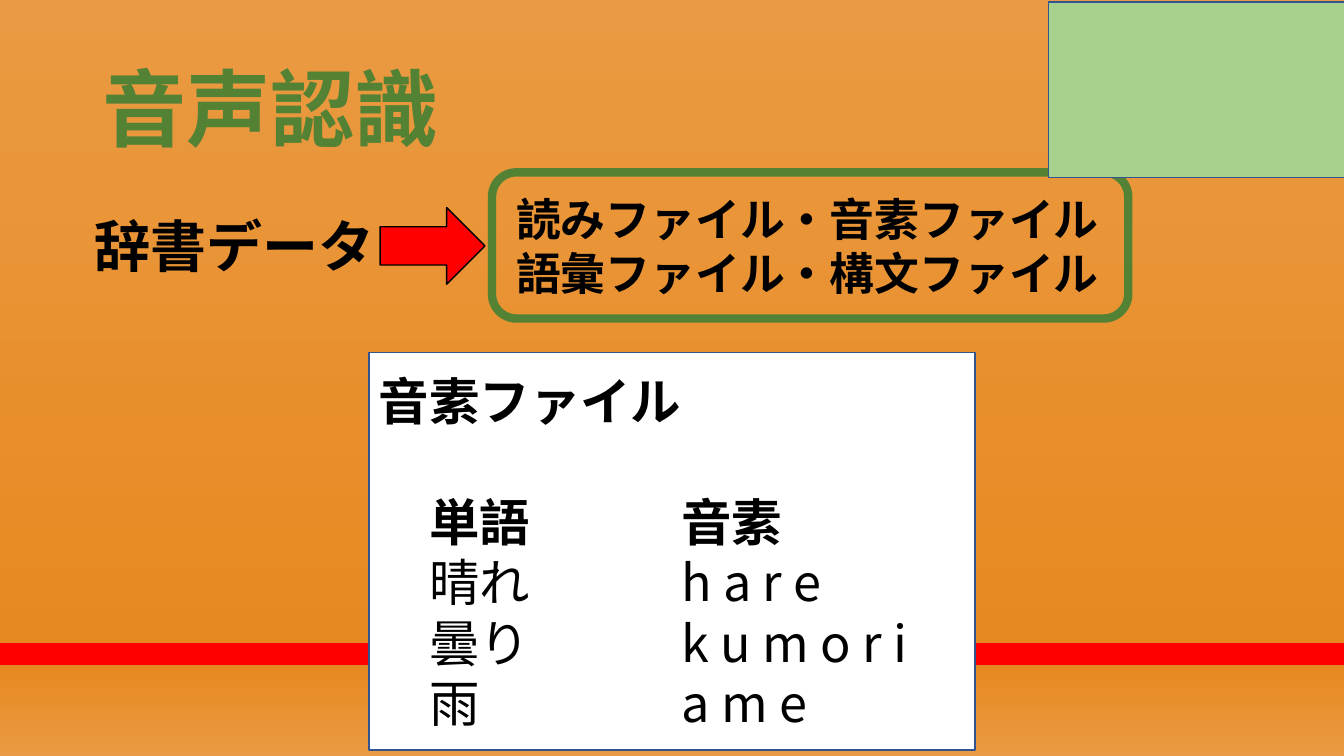
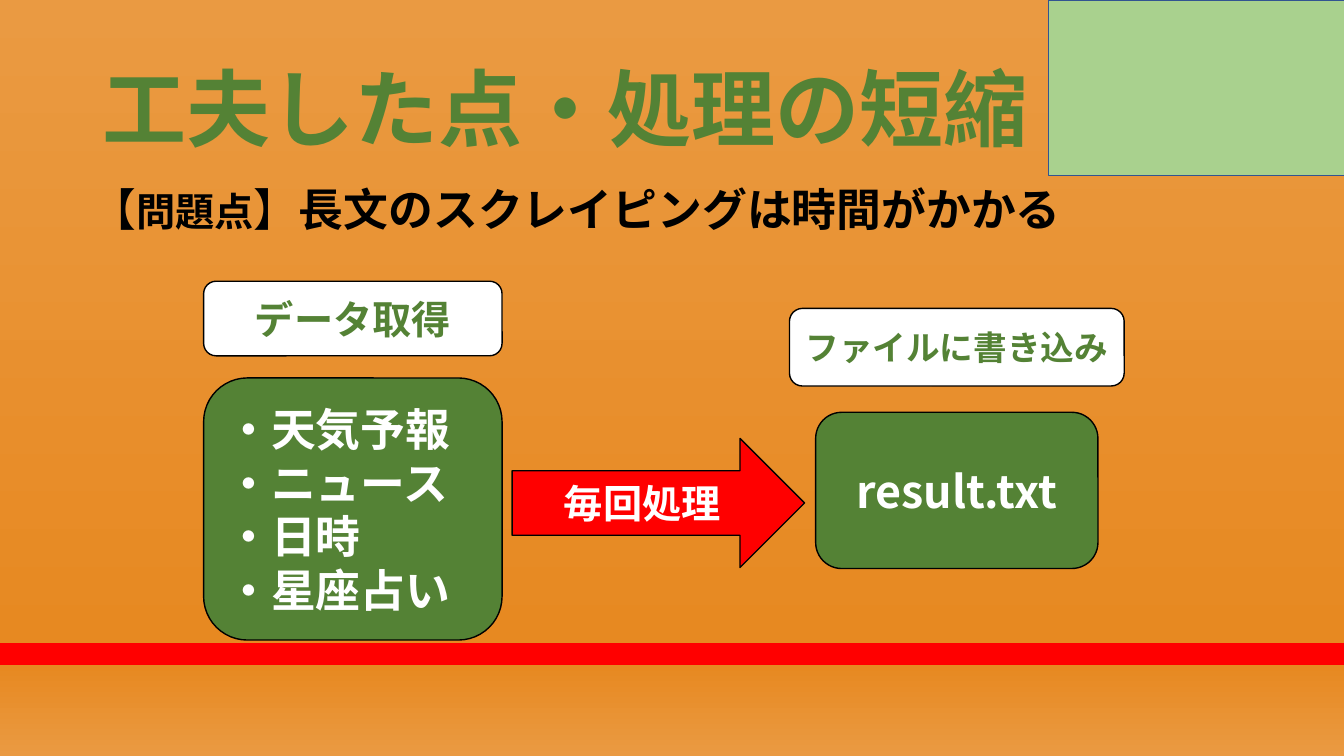
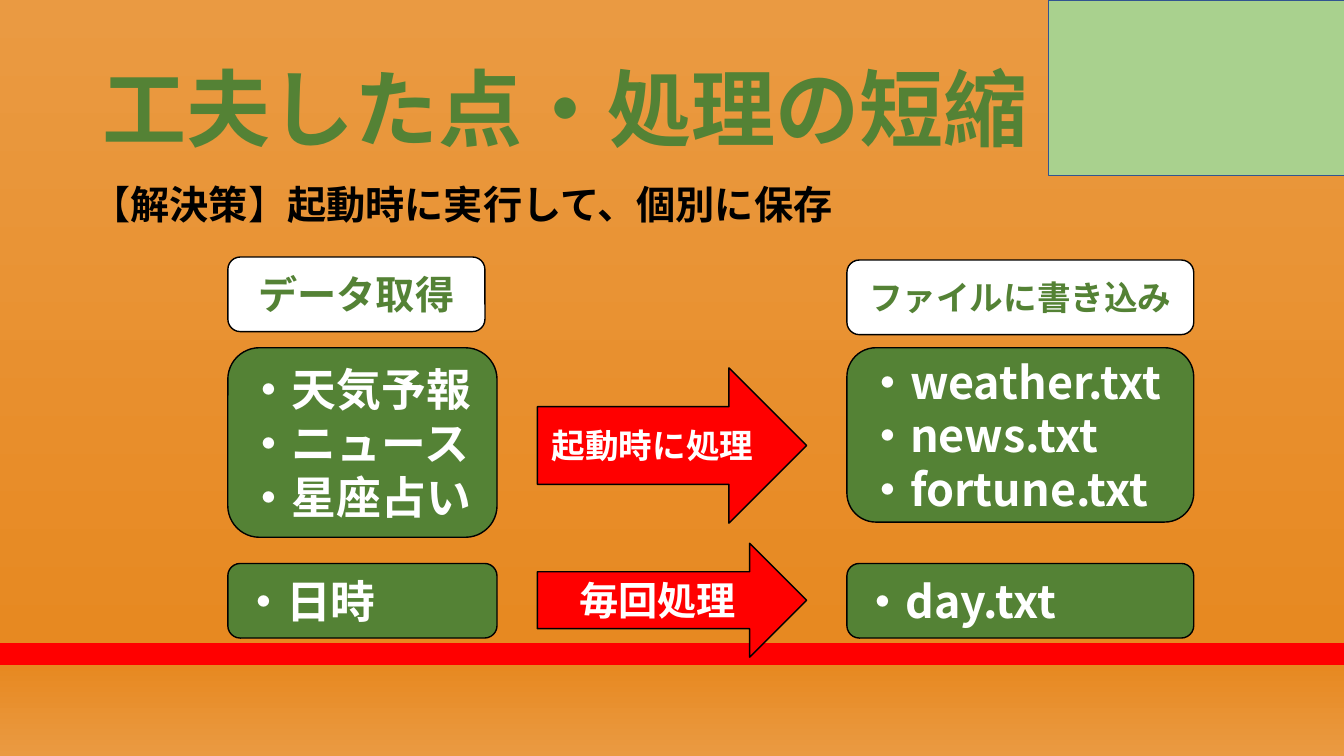
from dataclasses import dataclass

from lxml import etree
from pptx import Presentation
from pptx.dml.color import RGBColor
from pptx.enum.shapes import MSO_SHAPE
from pptx.enum.text import MSO_ANCHOR, MSO_AUTO_SIZE, PP_ALIGN
from pptx.oxml.ns import qn
from pptx.presentation import Presentation as Deck
from pptx.slide import Slide
from pptx.text.text import TextFrame, _Run as Span
from pptx.util import Inches, Pt

RECTANGLE = MSO_SHAPE.RECTANGLE
ROUNDED = MSO_SHAPE.ROUNDED_RECTANGLE
ARROW = MSO_SHAPE.RIGHT_ARROW
LEFT, CENTER = PP_ALIGN.LEFT, PP_ALIGN.CENTER
TOP, MIDDLE = MSO_ANCHOR.TOP, MSO_ANCHOR.MIDDLE
NO_AUTOFIT = MSO_AUTO_SIZE.NONE

FONT = "Noto Sans CJK JP"
BLACK = RGBColor(0x00, 0x00, 0x00)
WHITE = RGBColor(0xFF, 0xFF, 0xFF)
RED = RGBColor(0xFF, 0x00, 0x00)
GREEN = RGBColor(0x54, 0x82, 0x35)
PALE_GREEN = RGBColor(0xA9, 0xD1, 0x8E)
BLUE = RGBColor(0x32, 0x54, 0x91)
ORANGE = RGBColor(0xE7, 0x89, 0x21)
LIGHT_ORANGE = RGBColor(0xEA, 0x9A, 0x42)
BACKGROUND_STOPS = (
    (0, LIGHT_ORANGE), (85, ORANGE), (85, RED),
    (88, RED), (88, ORANGE), (100, LIGHT_ORANGE),
)
TITLE_ONLY = 5


@dataclass(frozen=True)
class Area:
    """A place on the slide, in inches."""
    left: float
    top: float
    width: float
    height: float

    def lengths(self) -> tuple[Inches, Inches, Inches, Inches]:
        """Return the place as slide lengths."""
        return (Inches(self.left), Inches(self.top),
                Inches(self.width), Inches(self.height))


@dataclass(frozen=True)
class Look:
    """The outline, colours and alignment of a kind of box."""
    shape: MSO_SHAPE
    fill: RGBColor | None
    line: RGBColor = BLACK
    text: RGBColor = BLACK
    align: PP_ALIGN = LEFT
    line_width: float = 1


@dataclass(frozen=True)
class Box:
    """A shape with optional lines of bold text."""
    look: Look
    area: Area
    text: str = ""
    size: int = 32


@dataclass(frozen=True)
class Part:
    """A stretch of a heading in one size and weight."""
    text: str
    size: int
    bold: bool = True


CORNER = Look(RECTANGLE, PALE_GREEN, BLUE)
PAPER = Look(RECTANGLE, WHITE, BLUE)
FRAME = Look(ROUNDED, None, GREEN, line_width=6)
LABEL = Look(ROUNDED, WHITE, text=GREEN, align=CENTER)
ITEMS = Look(ROUNDED, GREEN, text=WHITE)
RESULT = Look(ROUNDED, GREEN, text=WHITE, align=CENTER)
STEP = Look(ARROW, RED, text=WHITE, align=CENTER)


def paint_background(deck: Deck) -> None:
    """Give the master the orange gradient with its red band."""
    master = deck.slide_master
    master.background.fill.gradient()
    gradient = next(master.element.iter(qn("a:gradFill")))
    for child in list(gradient):
        gradient.remove(child)
    stops = etree.SubElement(gradient, qn("a:gsLst"))
    for percent, color in BACKGROUND_STOPS:
        stop = etree.SubElement(stops, qn("a:gs"), pos=str(percent * 1000))
        etree.SubElement(stop, qn("a:srgbClr"), val=str(color))
    etree.SubElement(gradient, qn("a:lin"), ang="5400000", scaled="0")


def format_span(span: Span, size: int, color: RGBColor, bold: bool = True) -> None:
    """Set the font of a run, for Latin and Japanese letters."""
    span.font.name = FONT
    span.font.size = Pt(size)
    span.font.bold = bold
    span.font.color.rgb = color
    etree.SubElement(span._r.get_or_add_rPr(), qn("a:ea"), typeface=FONT)


def write(frame: TextFrame, text: str, size: int, color: RGBColor,
          align: PP_ALIGN = LEFT, anchor: MSO_ANCHOR = MIDDLE) -> None:
    """Write bold lines of text into a frame."""
    frame.word_wrap = True
    frame.auto_size = NO_AUTOFIT
    frame.vertical_anchor = anchor
    frame.text = text
    for para in frame.paragraphs:
        para.alignment = align
        for span in para.runs:
            format_span(span, size, color)


def add_box(page: Slide, box: Box) -> TextFrame:
    """Draw a box and return its text frame."""
    look = box.look
    shape = page.shapes.add_shape(look.shape, *box.area.lengths())
    shape.shadow.inherit = False
    if look.fill is None:
        shape.fill.background()
    else:
        shape.fill.solid()
        shape.fill.fore_color.rgb = look.fill
    shape.line.color.rgb = look.line
    shape.line.width = Pt(look.line_width)
    if box.text:
        write(shape.text_frame, box.text, box.size, look.text, look.align)
    return shape.text_frame


def add_text(page: Slide, area: Area, text: str, size: int) -> None:
    """Add a bold black text box."""
    frame = page.shapes.add_textbox(*area.lengths()).text_frame
    write(frame, text, size, BLACK, anchor=TOP)


def add_heading(page: Slide, area: Area, parts: list[Part]) -> None:
    """Add a one-line heading made of differently styled parts."""
    frame = page.shapes.add_textbox(*area.lengths()).text_frame
    frame.word_wrap = True
    para = frame.paragraphs[0]
    for part in parts:
        span = para.add_run()
        span.text = part.text
        format_span(span, part.size, BLACK, part.bold)


def add_page(deck: Deck, title: str) -> Slide:
    """Add a slide with the shared title style."""
    page = deck.slides.add_slide(deck.slide_layouts[TITLE_ONLY])
    holder = page.shapes.title
    holder.left, holder.top, holder.width, holder.height = Area(
        0.92, 0.4, 11.5, 1.45).lengths()
    write(holder.text_frame, title, 60, GREEN)
    para = holder.text_frame.paragraphs[0]
    para.line_spacing = 0.9
    properties = para.runs[0]._r.get_or_add_rPr()
    outline = etree.Element(qn("a:ln"), w=str(Pt(0.75)))
    fill = etree.SubElement(outline, qn("a:solidFill"))
    etree.SubElement(fill, qn("a:srgbClr"), val=str(BLACK))
    properties.insert(0, outline)
    return page


def add_corner(page: Slide, top: float = 0) -> None:
    """Draw the pale panel in the top right corner."""
    add_box(page, Box(CORNER, Area(10.4, top, 2.94, 1.74)))


def add_phoneme_file(page: Slide) -> None:
    """Draw the sheet that lists words and their phonemes."""
    rows = (("単語", "音素"), ("晴れ", "h a r e"),
            ("曇り", "k u m o r i"), ("雨", "a m e"))
    text = "\n".join(["音素ファイル"] + [f"\u3000{word}\t{sound}" for word, sound in rows])
    frame = add_box(page, Box(PAPER, Area(3.66, 3.5, 6.01, 3.94), text, 36))
    frame.paragraphs[0].space_after = Pt(43)
    for index, para in enumerate(frame.paragraphs[1:]):
        para.runs[0].font.bold = index == 0
        for span in para.runs:
            span.font.bold = index == 0
        tabs = etree.SubElement(para._p.get_or_add_pPr(), qn("a:tabLst"))
        etree.SubElement(tabs, qn("a:tab"), pos=str(Inches(3)), algn="l")


def build_recognition(deck: Deck) -> None:
    """Build the slide on speech recognition."""
    page = add_page(deck, "音声認識")
    add_phoneme_file(page)
    add_text(page, Area(5.02, 1.85, 6.03, 1.18),
             "読みファイル・音素ファイル\n語彙ファイル・構文ファイル", 32)
    add_text(page, Area(0.84, 2.05, 3.4, 0.77), "辞書データ", 40)
    add_box(page, Box(STEP, Area(3.77, 2.06, 1.04, 0.76)))
    add_box(page, Box(FRAME, Area(4.88, 1.71, 6.31, 1.45)))
    add_corner(page, 0.02)


def build_shortening(deck: Deck, heading_area: Area, heading: list[Part],
                     boxes: list[Box]) -> None:
    """Build a slide on shortening the processing."""
    page = add_page(deck, "工夫した点・処理の短縮")
    add_corner(page)
    for box in boxes:
        add_box(page, box)
    add_heading(page, heading_area, heading)


def build_problem(deck: Deck) -> None:
    """Build the slide that states the problem."""
    heading = [Part("【", 32, False), Part("問題点", 28), Part("】", 32, False),
               Part("長文のスクレイピングは時間がかかる", 32)]
    build_shortening(deck, Area(0.81, 1.75, 10.08, 0.64), heading, [
        Box(LABEL, Area(2.02, 2.79, 2.96, 0.74), "データ取得", 28),
        Box(ITEMS, Area(2.02, 3.75, 2.96, 2.6),
            "・天気予報\n・ニュース\n・日時\n・星座占い"),
        Box(STEP, Area(5.08, 4.35, 2.9, 1.28), "毎回処理", 28),
        Box(RESULT, Area(8.09, 4.09, 2.8, 1.55), "result.txt"),
        Box(LABEL, Area(7.83, 3.06, 3.32, 0.77), "ファイルに書き込み", 24),
    ])


def build_solution(deck: Deck) -> None:
    """Build the slide that gives the solution."""
    source, step, target = 2.26, 5.33, 8.4
    heading = [Part("【", 28, False), Part("解決策", 28), Part("】", 28, False),
               Part("起動時に実行して、個別に保存", 28)]
    build_shortening(deck, Area(0.81, 1.74, 7.66, 0.57), heading, [
        Box(LABEL, Area(source, 2.55, 2.55, 0.74), "データ取得", 28),
        Box(STEP, Area(step, 5.39, 2.67, 1.13), "毎回処理", 28),
        Box(ITEMS, Area(target, 5.59, 3.44, 0.74), "・day.txt"),
        Box(ITEMS, Area(source, 3.45, 2.67, 1.88), "・天気予報\n・ニュース\n・星座占い"),
        Box(ITEMS, Area(source, 5.59, 2.67, 0.74), "・日時"),
        Box(ITEMS, Area(target, 3.45, 3.44, 1.73),
            "・weather.txt\n・news.txt\n・fortune.txt"),
        Box(STEP, Area(step, 3.65, 2.67, 1.54), "起動時に処理", 24),
        Box(LABEL, Area(target, 2.58, 3.44, 0.74), "ファイルに書き込み", 24),
    ])


def main() -> None:
    """Build and save the deck."""
    deck = Presentation()
    deck.slide_width, deck.slide_height = Inches(13.33), Inches(7.5)
    paint_background(deck)
    build_recognition(deck)
    build_problem(deck)
    build_solution(deck)
    deck.save("out.pptx")


main()
